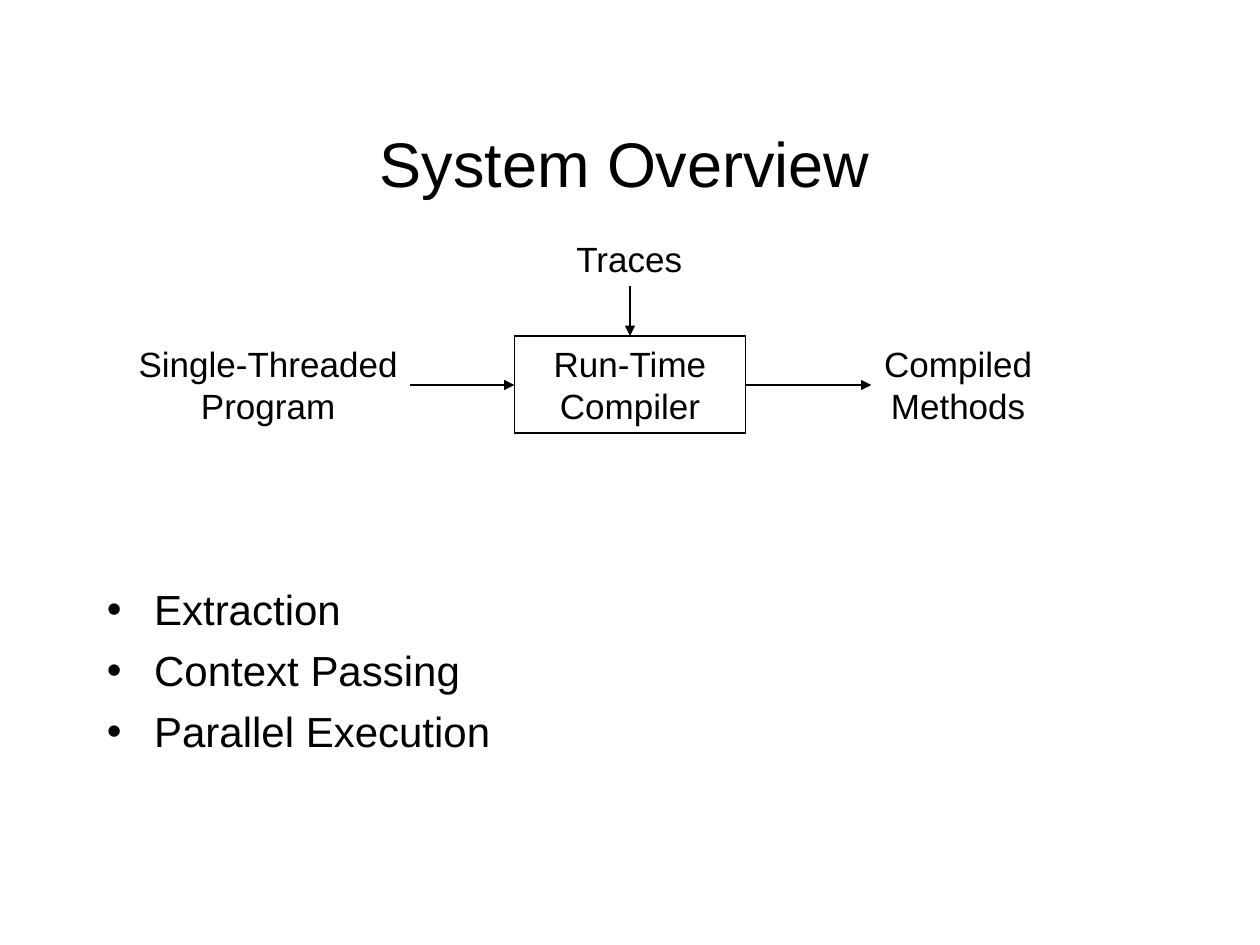
from dataclasses import dataclass

import pptx
import pptx.dml.color
import pptx.enum.shapes
import pptx.enum.text
import pptx.oxml.ns
import pptx.util
from lxml import etree

Pt = pptx.util.Pt
Align = pptx.enum.text.PP_ALIGN
Anchor = pptx.enum.text.MSO_ANCHOR
AutoSize = pptx.enum.text.MSO_AUTO_SIZE


@dataclass(frozen=True)
class Theme:
    font: str = "Arial"
    ink: pptx.dml.color.RGBColor = pptx.dml.color.RGBColor(0, 0, 0)
    title_size: float = 36
    topic_size: float = 24
    label_size: float = 20
    line_width: float = 0.74


@dataclass(frozen=True)
class TextBlock:
    lines: tuple[str, ...]
    left: float
    top: float
    width: float
    height: float
    size: float
    align: Align = Align.CENTER
    anchor: Anchor = Anchor.TOP
    wrap: bool = False
    boxed: bool = False
    bulleted: bool = False


@dataclass(frozen=True)
class Arrow:
    start: tuple[float, float]
    end: tuple[float, float]


THEME = Theme()


def add_bullet(paragraph) -> None:
    paragraph.space_before = Pt(6)
    properties = paragraph._p.get_or_add_pPr()
    properties.set("marL", str(Pt(27)))
    properties.set("indent", str(Pt(-27)))
    bullet_font = etree.SubElement(properties, pptx.oxml.ns.qn("a:buFont"))
    bullet_font.set("typeface", THEME.font)
    bullet = etree.SubElement(properties, pptx.oxml.ns.qn("a:buChar"))
    bullet.set("char", "•")


def draw_text(slide, block: TextBlock) -> None:
    bounds = [Pt(v) for v in (block.left, block.top, block.width, block.height)]
    if block.boxed:
        holder = slide.shapes.add_shape(pptx.enum.shapes.MSO_SHAPE.RECTANGLE, *bounds)
        holder.shadow.inherit = False
        holder.fill.background()
        holder.line.color.rgb = THEME.ink
        holder.line.width = Pt(THEME.line_width)
    else:
        holder = slide.shapes.add_textbox(*bounds)
    frame = holder.text_frame
    frame.word_wrap = block.wrap
    frame.auto_size = AutoSize.NONE if block.wrap else AutoSize.SHAPE_TO_FIT_TEXT
    frame.vertical_anchor = block.anchor
    frame.text = "\n".join(block.lines)
    for paragraph in frame.paragraphs:
        paragraph.alignment = block.align
        paragraph.font.name = THEME.font
        paragraph.font.size = Pt(block.size)
        paragraph.font.color.rgb = THEME.ink
        if block.bulleted:
            add_bullet(paragraph)


def draw_arrow(slide, arrow: Arrow) -> None:
    connector = slide.shapes.add_connector(
        pptx.enum.shapes.MSO_CONNECTOR.STRAIGHT,
        *(Pt(v) for v in arrow.start + arrow.end),
    )
    connector.line.color.rgb = THEME.ink
    connector.line.width = Pt(THEME.line_width)
    head = etree.SubElement(connector.line._get_or_add_ln(), pptx.oxml.ns.qn("a:tailEnd"))
    head.set("type", "triangle")
    etree.SubElement(connector._element.spPr, pptx.oxml.ns.qn("a:effectLst"))


FLOW_TOP, FLOW_HEIGHT, FLOW_AXIS = 192, 55.5, 220
COMPILER_LEFT, COMPILER_WIDTH = 294, 132
COMPILER_RIGHT = COMPILER_LEFT + COMPILER_WIDTH
COMPILER_CENTER = COMPILER_LEFT + COMPILER_WIDTH / 2
PROGRAM_LEFT, PROGRAM_WIDTH = 72, 162.5
METHODS_LEFT, METHODS_WIDTH = 498, 99
TRACES_TOP, TRACES_HEIGHT = 132, 31.5

BLOCKS = (
    TextBlock(("System Overview",), 36, 48, 642, 90, THEME.title_size,
              anchor=Anchor.MIDDLE, wrap=True),
    TextBlock(("Extraction", "Context Passing", "Parallel Execution"),
              54, 330, 612, 150, THEME.topic_size,
              align=Align.LEFT, wrap=True, bulleted=True),
    TextBlock(("Run-Time", "Compiler"), COMPILER_LEFT, FLOW_TOP,
              COMPILER_WIDTH, FLOW_HEIGHT, THEME.label_size, wrap=True, boxed=True),
    TextBlock(("Single-Threaded", "Program"), PROGRAM_LEFT, FLOW_TOP,
              PROGRAM_WIDTH, FLOW_HEIGHT, THEME.label_size),
    TextBlock(("Compiled", "Methods"), METHODS_LEFT, FLOW_TOP,
              METHODS_WIDTH, FLOW_HEIGHT, THEME.label_size),
    TextBlock(("Traces",), 322.25, TRACES_TOP, 75.5, TRACES_HEIGHT,
              THEME.label_size, align=Align.LEFT),
)

ARROWS = (
    Arrow((PROGRAM_LEFT + PROGRAM_WIDTH, FLOW_AXIS), (COMPILER_LEFT, FLOW_AXIS)),
    Arrow((COMPILER_RIGHT, FLOW_AXIS), (METHODS_LEFT, FLOW_AXIS)),
    Arrow((COMPILER_CENTER, TRACES_TOP + TRACES_HEIGHT), (COMPILER_CENTER, FLOW_TOP)),
)


def main() -> None:
    deck = pptx.Presentation()
    deck.slide_width, deck.slide_height = Pt(720), Pt(540)
    overview = deck.slides.add_slide(deck.slide_layouts[6])
    for block in BLOCKS:
        draw_text(overview, block)
    for arrow in ARROWS:
        draw_arrow(overview, arrow)
    deck.save("out.pptx")


main()
